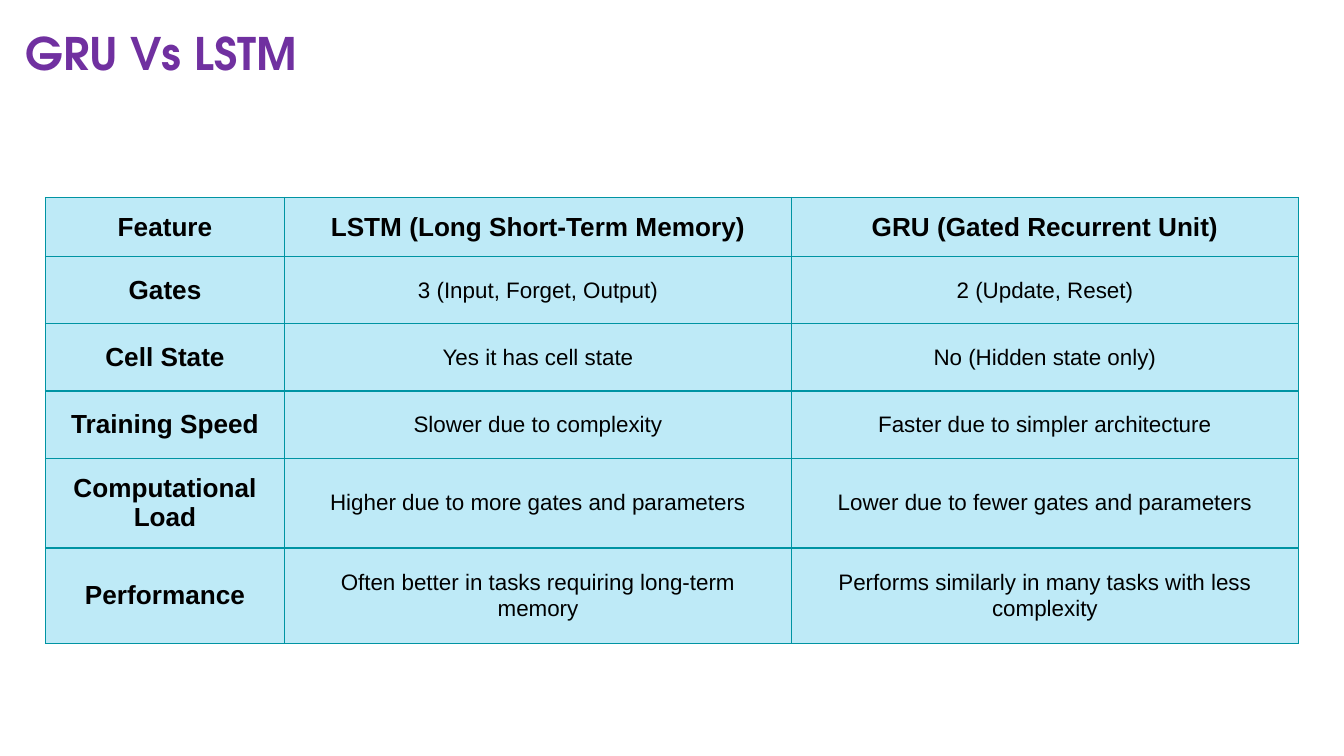
from lxml import etree
from pptx import Presentation
from pptx import util as u
from pptx.dml.color import RGBColor
from pptx.enum import text
from pptx.oxml import ns

PURPLE = RGBColor(0x70, 0x30, 0xA0)
BLACK = RGBColor(0, 0, 0)
PALE_BLUE = RGBColor(0xBE, 0xEA, 0xF7)
TEAL = RGBColor(0x00, 0x94, 0xA3)

COL_WIDTHS = [4.52, 9.58, 9.58]
ROW_HEIGHTS = [1.12, 1.27, 1.27, 1.27, 1.7, 1.8]
COMPARISON = [
    ("Feature", "LSTM (Long Short-Term Memory)", "GRU (Gated Recurrent Unit)"),
    ("Gates", "3 (Input, Forget, Output)", "2 (Update, Reset)"),
    ("Cell State", "Yes it has cell state", "No (Hidden state only)"),
    ("Training Speed", "Slower due to complexity", "Faster due to simpler architecture"),
    ("Computational Load", "Higher due to more gates and parameters",
     "Lower due to fewer gates and parameters"),
    ("Performance", "Often better in tasks requiring long-term memory",
     "Performs similarly in many tasks with less complexity"),
]


class Deck:
    title_font = "TeX Gyre Adventor"
    body_font = "Arial"

    def __init__(self, width, height):
        self.prs = Presentation()
        self.prs.slide_width, self.prs.slide_height = u.Cm(width), u.Cm(height)
        self.s = self.prs.slides.add_slide(self.prs.slide_layouts[5])

    def set_font(self, p, name, size, color, bold):
        f = p.font
        f.name, f.size, f.bold = name, u.Pt(size), bold
        f.color.rgb = color

    def title(self, words, left, top, width, height):
        sp = self.s.shapes.title
        sp.left, sp.top, sp.width, sp.height = map(u.Cm, (left, top, width, height))
        tf = sp.text_frame
        tf.text = words
        tf.auto_size = text.MSO_AUTO_SIZE.NONE
        tf.vertical_anchor = text.MSO_ANCHOR.TOP
        tf.margin_left = tf.margin_right = tf.margin_top = tf.margin_bottom = u.Cm(0.25)
        p = tf.paragraphs[0]
        p.alignment = text.PP_ALIGN.LEFT
        self.set_font(p, self.title_font, 24, PURPLE, True)

    def table(self, rows, left, top, widths, heights):
        frame = self.s.shapes.add_table(
            len(rows), len(widths), u.Cm(left), u.Cm(top),
            u.Cm(sum(widths)), u.Cm(sum(heights)))
        table = frame.table
        for col, width in zip(table.columns, widths):
            col.width = u.Cm(width)
        for row, height in zip(table.rows, heights):
            row.height = u.Cm(height)
        for i, row in enumerate(rows):
            for j, words in enumerate(row):
                self.cell(table.cell(i, j), words, i == 0, j == 0)

    def cell(self, cell, words, in_header, in_first_col):
        heading = in_header or in_first_col
        cell.text = words
        cell.vertical_anchor = text.MSO_ANCHOR.MIDDLE
        cell.margin_left = cell.margin_right = u.Cm(0.1 if in_first_col else 0.25)
        cell.margin_top = cell.margin_bottom = u.Cm(0.25 if heading else 0.38)
        p = cell.text_frame.paragraphs[0]
        p.alignment = text.PP_ALIGN.CENTER
        self.set_font(p, self.body_font, 14 if heading else 12, BLACK, heading)
        self.borders(cell)
        cell.fill.solid()
        cell.fill.fore_color.rgb = PALE_BLUE

    def borders(self, cell):
        tc_pr = cell._tc.get_or_add_tcPr()
        for side in "LRTB":
            ln = etree.SubElement(tc_pr, ns.qn(f"a:ln{side}"), w=str(u.Pt(0.75)))
            fill = etree.SubElement(ln, ns.qn("a:solidFill"))
            etree.SubElement(fill, ns.qn("a:srgbClr"), val=str(TEAL))


def main():
    deck = Deck(25.4, 14.29)
    deck.title("GRU Vs LSTM", 0.23, 0.23, 21.67, 1.75)
    deck.table(COMPARISON, 0.86, 3.73, COL_WIDTHS, ROW_HEIGHTS)
    deck.prs.save("out.pptx")


if __name__ == "__main__":
    main()
